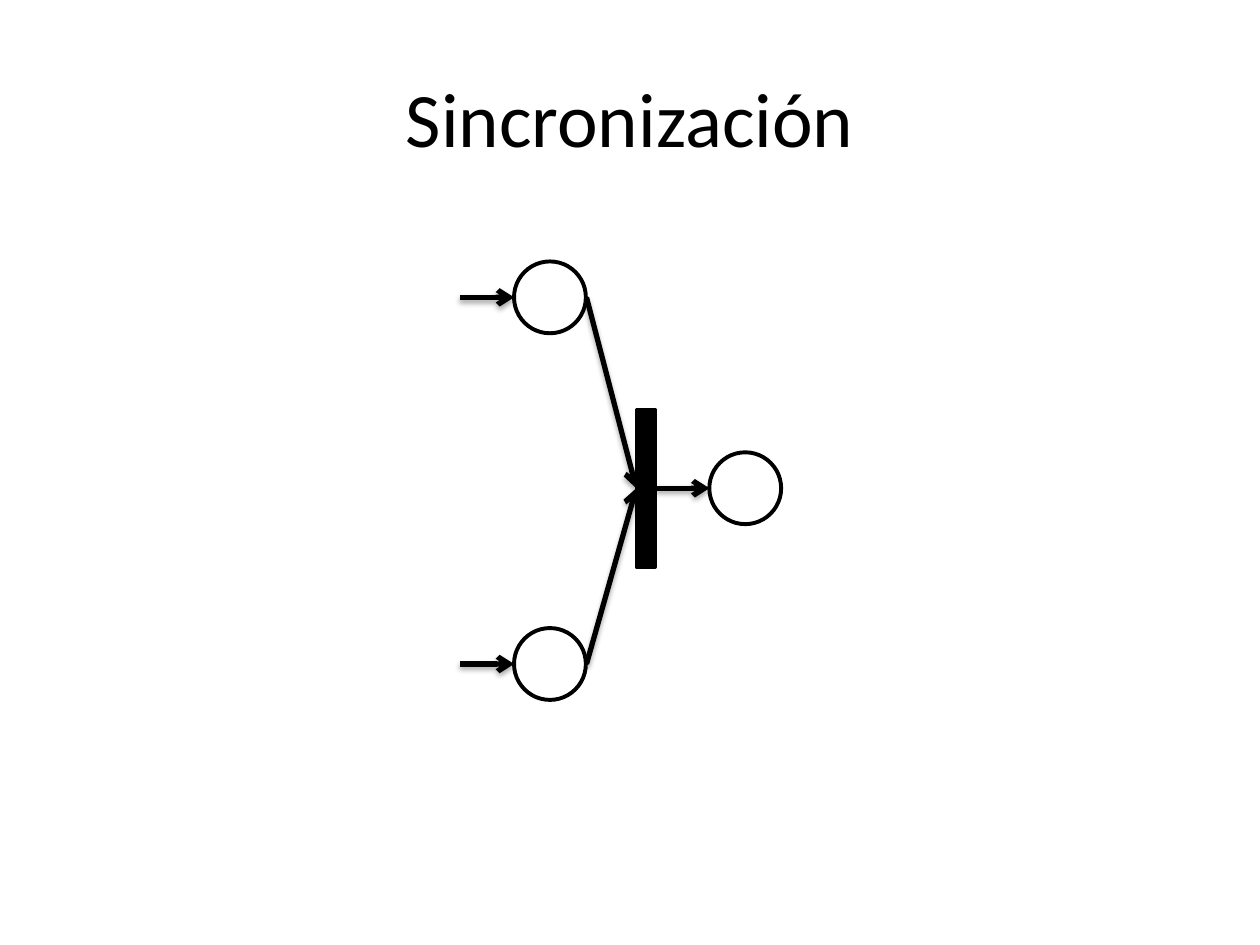
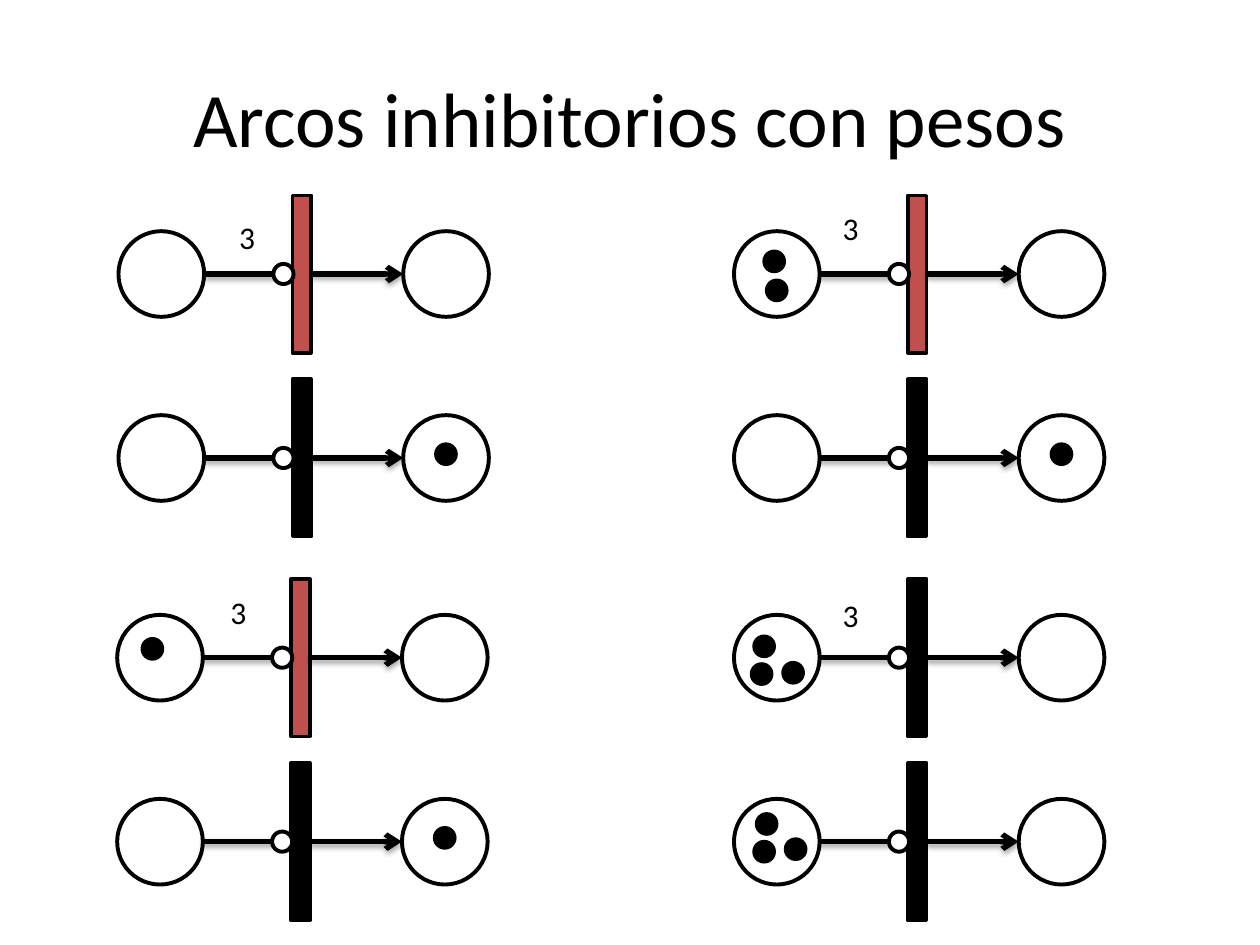
from lxml.etree import SubElement
from pptx import Presentation
from pptx.dml.color import RGBColor
from pptx.enum.shapes import MSO_CONNECTOR, MSO_SHAPE
from pptx.enum.text import MSO_ANCHOR, PP_ALIGN
from pptx.oxml.ns import qn
from pptx.util import Inches, Pt

INK = {"black": "000000", "white": "FFFFFF", "red": "C0504D"}
FONT = "Calibri"
OVAL, RECT = MSO_SHAPE.OVAL, MSO_SHAPE.RECTANGLE

deck = Presentation()
deck.slide_width, deck.slide_height = Inches(10), Inches(7.5)
# Grid of 100 columns by 75 rows
COL, ROW = deck.slide_width / 100, deck.slide_height / 75
BAR = (1.5, 12.5)
DOT = (1.6, 1.6)


def draw(page, kind, mid, size, fill, line):
    """Add an outlined shape centred on a grid point."""
    (x, y), (w, h) = mid, size
    shape = page.shapes.add_shape(kind, int((x - w / 2) * COL), int((y - h / 2) * ROW),
                                  int(w * COL), int(h * ROW))
    shape.shadow.inherit = False
    shape.fill.solid()
    shape.fill.fore_color.rgb = RGBColor.from_string(INK[fill])
    shape.line.color.rgb = RGBColor.from_string(INK["black"])
    shape.line.width = Pt(line)
    return shape


def link(page, start, end, head=True):
    """Add a shadowed arc between two grid points."""
    arc = page.shapes.add_connector(
        MSO_CONNECTOR.STRAIGHT, int(start[0] * COL), int(start[1] * ROW),
        int(end[0] * COL), int(end[1] * ROW))
    arc.line.color.rgb = RGBColor.from_string(INK["black"])
    arc.line.width = Pt(3)
    props = arc.element.spPr
    if head:
        SubElement(props.find(qn("a:ln")), qn("a:tailEnd"), type="arrow")
    glow = SubElement(SubElement(props, qn("a:effectLst")), qn("a:outerShdw"),
                      blurRad=str(Pt(3.1)), dist=str(Pt(1.8)), dir="5400000", rotWithShape="0")
    tint = SubElement(glow, qn("a:srgbClr"), val=INK["black"])
    SubElement(tint, qn("a:alpha"), val="35000")
    return arc


sync, weights = [deck.slides.add_slide(deck.slide_layouts[6]) for _ in range(2)]

# Texts: page, words, centre, size, points, alignment, wrap
texts = [(page, words, (50, 9.25), (90, 12.5), 44, PP_ALIGN.CENTER, True)
         for page, words in ((sync, "Sincronización"),
                             (weights, "Arcos inhibitorios con pesos"))]

# Synchronisation: two places feed one transition
PLACE = (5.7, 5.7)
mid = 38.75
bar = draw(sync, RECT, (51.25, mid), BAR, "black", 2)
for y in (23.6, 52.7):
    link(sync, (46.55, y), (50.5, mid)).end_connect(bar, 1)
    draw(sync, OVAL, (43.65, y), PLACE, "white", 2.25)
    link(sync, (36.5, y), (40.8, y))
draw(sync, OVAL, (59.15, mid), PLACE, "white", 2.25)
link(sync, (52, mid), (56.3, mid)).begin_connect(bar, 3)

# Inhibitor arcs: each case shows the net before and after firing
# Case: bar x, first row y, bar fill, label shift, tokens before, after, at target
PLACE = (6.8, 6.8)
STEP = 14.6
GOAL = [(0, -0.3)]
cases = [
    (23.95, 21.75, "red", (-4.3, -2.95), [], [], GOAL),
    (23.85, 52.2, "red", (-4.9, -3.6), [(-0.6, -0.7)], [], GOAL),
    (72.8, 21.75, "red", (-5.25, -3.65), [(-0.2, -1), (0, 1.3)], [], GOAL),
    (72.8, 52.2, "black", (-5.25, -3.4), [(-1, -0.9), (-1.2, 1.3), (1.3, 1.2)],
     [(-0.8, -1.4), (-1, 0.8), (1.5, 0.6)], []),
]
for x, top, fill, shift, before, after, goal in cases:
    left, right = x - 11.15, x + 11.45
    texts.append((weights, "3", (x + shift[0], top + shift[1]), (3.3, 4),
                  18, PP_ALIGN.LEFT, False))
    for y, tone, held, made in ((top, fill, before, []),
                                (top + STEP, "black", after, goal)):
        for spot in (left, right):
            draw(weights, OVAL, (spot, y), PLACE, "white", 2.25)
        bar = draw(weights, RECT, (x, y), BAR, tone, 2)
        link(weights, (left + 3.4, y), (x - 0.75, y), False).end_connect(bar, 1)
        link(weights, (x + 0.75, y), (right - 3.4, y)).begin_connect(bar, 3)
        draw(weights, OVAL, (x - 1.45, y), DOT, "white", 2.25)
        for spot, dots in ((left, held), (right, made)):
            for dx, dy in dots:
                draw(weights, OVAL, (spot + dx, y + dy), DOT, "black", 2)

# Titles and weight labels
for page, words, (x, y), (w, h), size, align, wrap in texts:
    box = page.shapes.add_textbox(int((x - w / 2) * COL), int((y - h / 2) * ROW),
                                  int(w * COL), int(h * ROW))
    frame = box.text_frame
    frame.word_wrap = wrap
    frame.vertical_anchor = MSO_ANCHOR.MIDDLE if wrap else MSO_ANCHOR.TOP
    line = frame.paragraphs[0]
    line.text, line.alignment = words, align
    line.font.name, line.font.size = FONT, Pt(size)
    line.font.color.rgb = RGBColor.from_string(INK["black"])

deck.save("out.pptx")
